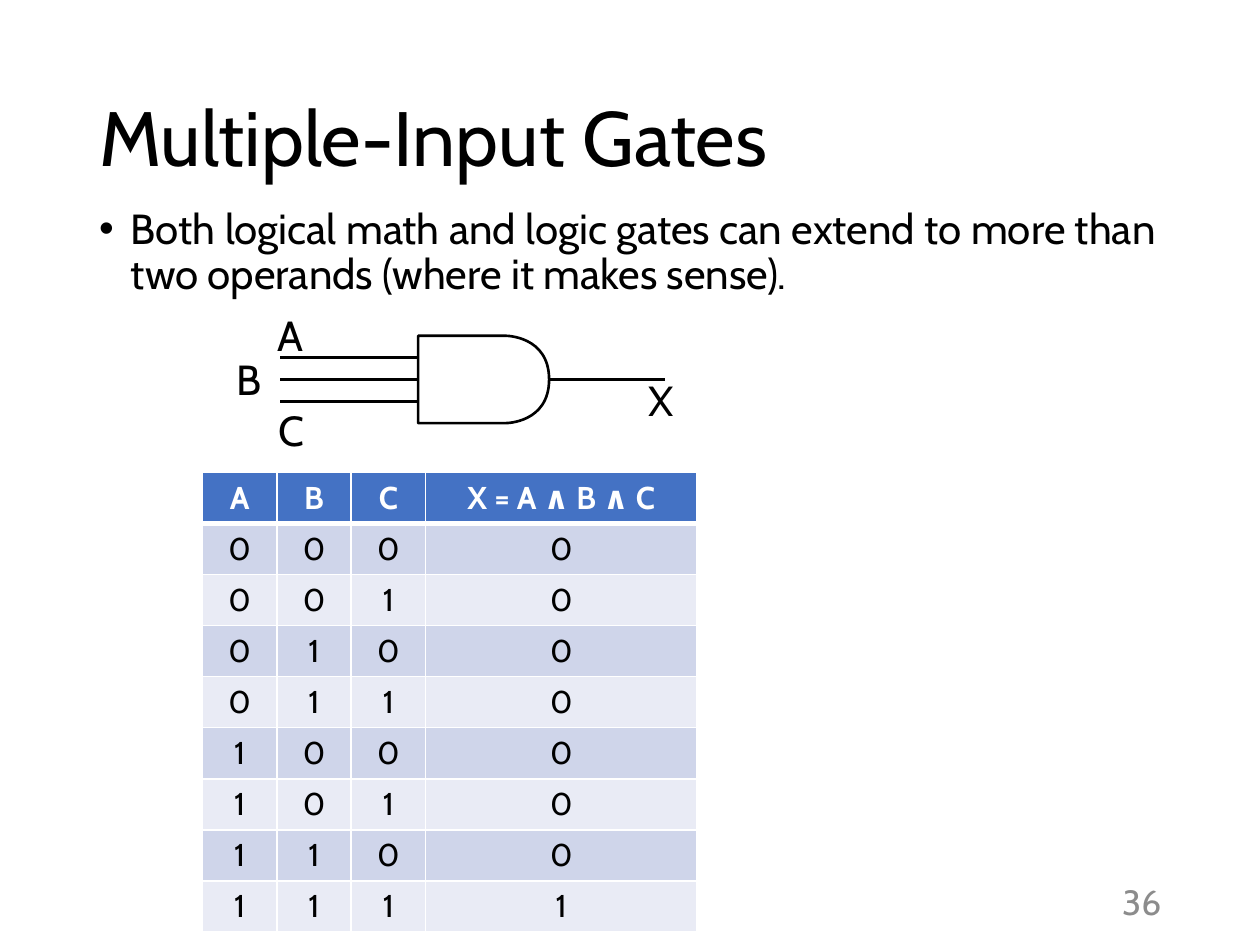
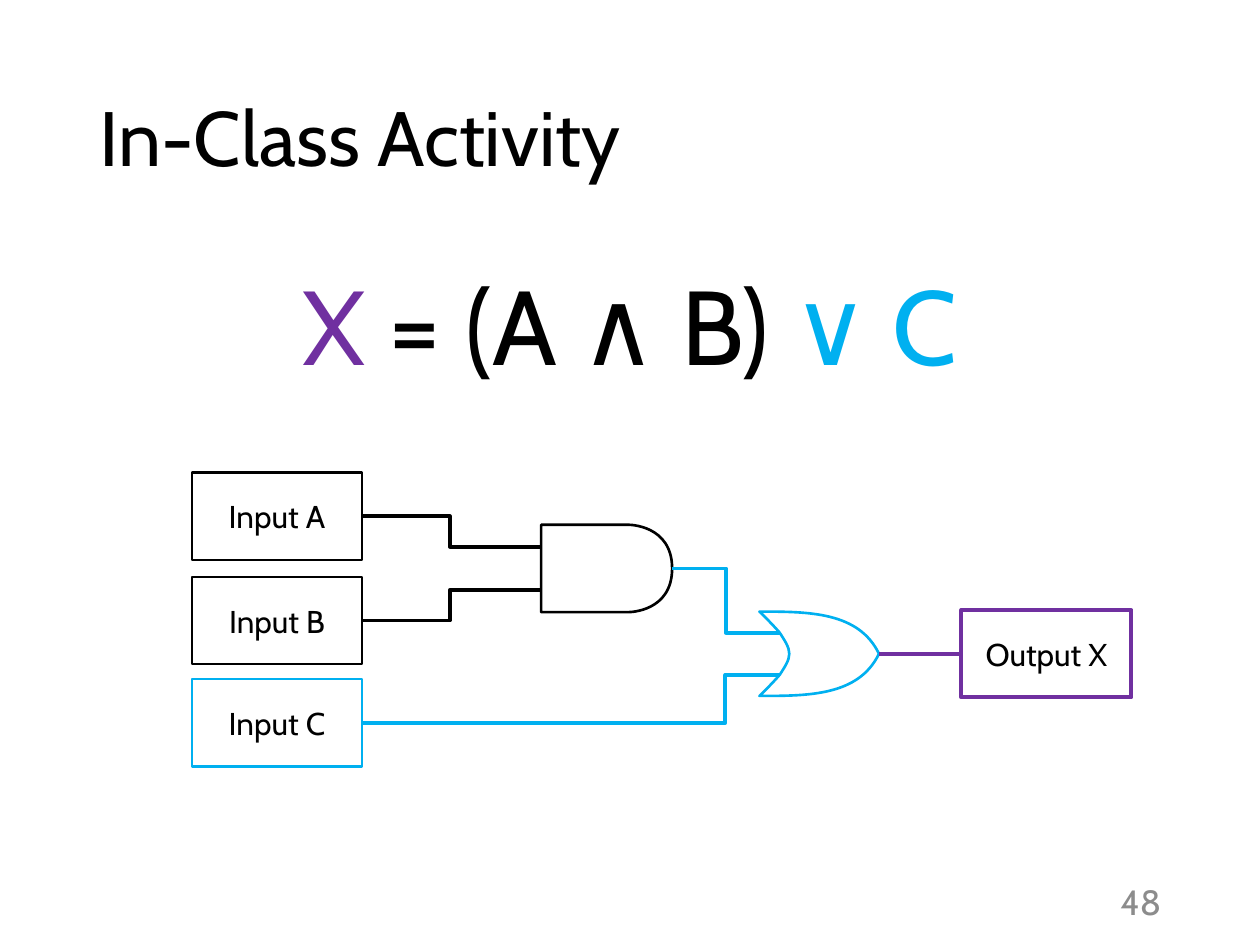
from dataclasses import dataclass
from itertools import product

from lxml.etree import SubElement
from pptx import Presentation
from pptx.dml.color import RGBColor
from pptx.enum.shapes import MSO_CONNECTOR, MSO_SHAPE
from pptx.enum.text import MSO_ANCHOR, MSO_AUTO_SIZE, PP_ALIGN
from pptx.oxml.ns import qn
from pptx.shapes.autoshape import Shape
from pptx.shapes.connector import Connector
from pptx.slide import Slide
from pptx.table import _Cell
from pptx.text.text import Font, _Paragraph
from pptx.util import Cm, Pt

COLORS = {
    "black": "000000",
    "white": "FFFFFF",
    "gray": "8C8C8C",
    "header": "4472C4",
    "dark band": "CFD5EA",
    "light band": "E9EBF5",
    "purple": "7030A0",
    "cyan": "00B0F0",
}
FONT = "Cabin"
THIN, THICK = 1.5, 2.25
Point = tuple[float, float]
Curve = tuple[Point, Point, Point]


@dataclass(frozen=True)
class Area:
    left: float
    top: float
    width: float
    height: float

    @property
    def right(self) -> float:
        return self.left + self.width

    @property
    def middle(self) -> float:
        return self.top + self.height / 2

    def lengths(self) -> tuple[Cm, Cm, Cm, Cm]:
        return Cm(self.left), Cm(self.top), Cm(self.width), Cm(self.height)


@dataclass(frozen=True)
class Outline:
    corners: tuple[Point, ...]
    curves: tuple[Curve, ...]
    pin_inset: float


@dataclass(frozen=True)
class Gate:
    outline: Outline
    area: Area
    color: str = "black"

    def pin(self, level: float) -> Point:
        area = self.area
        return area.left + self.outline.pin_inset * area.width, area.top + level * area.height

    @property
    def output(self) -> Point:
        return self.area.right, self.area.middle


@dataclass(frozen=True)
class Label:
    text: str
    left: float
    top: float


@dataclass(frozen=True)
class Terminal:
    text: str
    area: Area
    color: str = "black"
    width: float = THIN
    filled: bool = True

    @property
    def output(self) -> Point:
        return self.area.right, self.area.middle


@dataclass(frozen=True)
class Wire:
    start: Point
    end: Point
    bend: float
    color: str = "black"


AND_OUTLINE = Outline(
    ((0, 1), (0, 0.75), (0, 0.5), (0, 0.25), (0, 0), (0.67, 0)),
    (
        ((0.67, 0), (1, 0), (1, 0.5)),
        ((1, 1), (0.67, 1), (0.67, 1)),
    ),
    0,
)
OR_OUTLINE = Outline(
    ((0, 0),),
    (
        ((0.41, 0), (0.83, 0), (1, 0.5)),
        ((0.83, 1), (0.41, 1), (0, 1)),
        ((0, 1), (0.09, 0.88), (0.17, 0.75)),
        ((0.21, 0.66), (0.25, 0.58), (0.25, 0.5)),
        ((0.25, 0.42), (0.21, 0.34), (0.17, 0.25)),
        ((0.09, 0.12), (0, 0), (0, 0)),
    ),
    0.17,
)
TITLE_AREA = Area(1.75, 1.01, 21.9, 3.68)
NUMBER_AREA = Area(21.96, 17.66, 1.7, 1.02)


def rgb(color: str) -> RGBColor:
    return RGBColor.from_string(COLORS[color])


def style_font(font: Font, size: float, color: str = "black", bold: bool = False) -> None:
    font.name = FONT
    font.size = Pt(size)
    font.bold = bold
    font.color.rgb = rgb(color)


def add_text(page: Slide, area: Area, text: str, size: float, color: str = "black",
             align: PP_ALIGN = PP_ALIGN.LEFT, anchor: MSO_ANCHOR = MSO_ANCHOR.TOP,
             wrap: bool = True) -> _Paragraph:
    box = page.shapes.add_textbox(*area.lengths())
    frame = box.text_frame
    frame.word_wrap = wrap
    frame.auto_size = MSO_AUTO_SIZE.NONE if wrap else MSO_AUTO_SIZE.SHAPE_TO_FIT_TEXT
    frame.vertical_anchor = anchor
    para = frame.paragraphs[0]
    para.text = text
    para.alignment = align
    style_font(para.font, size, color)
    return para


def add_bullet(page: Slide, area: Area, text: str) -> None:
    para = add_text(page, area, text, 24)
    properties = para._p.get_or_add_pPr()
    properties.set("marL", str(Cm(0.64)))
    properties.set("indent", str(-Cm(0.64)))
    properties.remove(properties.find(qn("a:defRPr")))
    SubElement(properties, qn("a:buFont"), typeface="Arial")
    SubElement(properties, qn("a:buChar"), char="•")
    para.line_spacing = 0.9
    style_font(para.font, 24)


def add_page(deck: Presentation, title: str, number: int) -> Slide:
    page = deck.slides.add_slide(deck.slide_layouts[6])
    heading = add_text(page, TITLE_AREA, title, 44, anchor=MSO_ANCHOR.MIDDLE)
    heading.line_spacing = 0.9
    add_text(page, NUMBER_AREA, str(number), 20, "gray", PP_ALIGN.RIGHT, MSO_ANCHOR.MIDDLE)
    return page


def style_line(shape: Shape | Connector, color: str, width: float) -> None:
    shape.line.color.rgb = rgb(color)
    shape.line.width = Pt(width)


def bend_segments(shape: Shape, curve_count: int) -> None:
    segments = list(shape._element.iter(qn("a:lnTo")))[-3 * curve_count:]
    for first, second, third in zip(*[iter(segments)] * 3):
        curve = first.makeelement(qn("a:cubicBezTo"))
        first.addprevious(curve)
        for segment in (first, second, third):
            curve.append(segment[0])
            segment.getparent().remove(segment)


def add_gate(page: Slide, gate: Gate) -> None:
    area, outline = gate.area, gate.outline
    points = [*outline.corners, *(point for curve in outline.curves for point in curve)]
    places = [(Cm(area.left + x * area.width), Cm(area.top + y * area.height)) for x, y in points]
    builder = page.shapes.build_freeform(*places[0])
    builder.add_line_segments(places[1:], close=True)
    shape = builder.convert_to_shape()
    bend_segments(shape, len(outline.curves))
    shape.shadow.inherit = False
    shape.fill.background()
    style_line(shape, gate.color, THIN)


def add_line(page: Slide, start: Point, end: Point, color: str = "black", width: float = THIN,
             kind: MSO_CONNECTOR = MSO_CONNECTOR.STRAIGHT) -> Connector:
    line = page.shapes.add_connector(kind, *(Cm(value) for value in (*start, *end)))
    style_line(line, color, width)
    SubElement(line._element.spPr, qn("a:effectLst"))
    return line


def add_wire(page: Slide, wire: Wire) -> None:
    line = add_line(page, wire.start, wire.end, wire.color, THICK, MSO_CONNECTOR.ELBOW)
    guides = line._element.spPr.find(qn("a:prstGeom")).find(qn("a:avLst"))
    SubElement(guides, qn("a:gd"), name="adj1", fmla=f"val {round(wire.bend * 100000)}")


def add_terminal(page: Slide, terminal: Terminal) -> Shape:
    box = page.shapes.add_shape(MSO_SHAPE.RECTANGLE, *terminal.area.lengths())
    box.shadow.inherit = False
    if terminal.filled:
        box.fill.solid()
        box.fill.fore_color.rgb = rgb("white")
    else:
        box.fill.background()
    style_line(box, terminal.color, terminal.width)
    box.text_frame.vertical_anchor = MSO_ANCHOR.MIDDLE
    para = box.text_frame.paragraphs[0]
    para.text = terminal.text
    para.alignment = PP_ALIGN.CENTER
    style_font(para.font, 18)
    return box


def style_cell(cell: _Cell, text: str, row: int) -> None:
    header = row == 0
    cell.text = text
    para = cell.text_frame.paragraphs[0]
    para.alignment = PP_ALIGN.CENTER
    style_font(para.font, 18, "white" if header else "black", header)
    cell.fill.solid()
    cell.fill.fore_color.rgb = rgb("header" if header else "dark band" if row % 2 else "light band")
    widths = {"lnL": 1, "lnR": 1, "lnT": 3 if row == 1 else 1, "lnB": 3 if header else 1}
    properties = cell._tc.get_or_add_tcPr()
    for index, (side, width) in enumerate(widths.items()):
        border = SubElement(properties, qn(f"a:{side}"), w=str(Pt(width)))
        fill = SubElement(border, qn("a:solidFill"))
        SubElement(fill, qn("a:srgbClr"), val=COLORS["white"])
        properties.insert(index, border)


def add_truth_table(page: Slide) -> None:
    inputs = list(product((0, 1), repeat=3))
    rows = [("A", "B", "C", "X = A ∧ B ∧ C")] + [(*bits, int(all(bits))) for bits in inputs]
    area = Area(4.08, 9.52, 9.97, 1.03 * len(rows))
    table = page.shapes.add_table(len(rows), 4, *area.lengths()).table
    for column, width in zip(table.columns, (1.5, 1.5, 1.5, 5.47)):
        column.width = Cm(width)
    for row, values in enumerate(rows):
        table.rows[row].height = Cm(1.03)
        for column, value in enumerate(values):
            style_cell(table.cell(row, column), str(value), row)


def build_gates_page(deck: Presentation) -> None:
    page = add_page(deck, "Multiple-Input Gates", 36)
    add_bullet(page, Area(1.75, 4.07, 21.9, 12.09),
               "Both logical math and logic gates can extend to more than two operands "
               "(where it makes sense).")
    gate = Gate(AND_OUTLINE, Area(8.43, 6.77, 2.64, 1.76))
    add_gate(page, gate)
    for level in (0.25, 0.5, 0.75):
        x, y = gate.pin(level)
        add_line(page, (x, y), (5.64, y))
    add_line(page, gate.output, (13.41, gate.area.middle))
    labels = (Label("A", 5.35, 6.12), Label("B", 4.52, 7.01),
              Label("C", 5.36, 8.03), Label("X", 12.83, 7.43))
    for label in labels:
        add_text(page, Area(label.left, label.top, 0.97, 1.27), label.text, 24, wrap=False)
    add_truth_table(page)


def build_activity_page(deck: Presentation) -> None:
    page = add_page(deck, "In-Class Activity", 48)
    formula = add_text(page, Area(4.99, 5.13, 15.42, 2.82), "", 60, align=PP_ALIGN.CENTER)
    for text, color in (("X", "purple"), (" = (A ∧ B) ", "black"), ("∨ C", "cyan")):
        span = formula.add_run()
        span.text = text
        span.font.color.rgb = rgb(color)

    and_gate = Gate(AND_OUTLINE, Area(10.91, 10.58, 2.64, 1.76))
    or_gate = Gate(OR_OUTLINE, Area(15.31, 12.33, 2.41, 1.7), "cyan")
    input_a, input_b, input_c = inputs = [
        Terminal(f"Input {name}", Area(3.87, top, 3.43, 1.76), color)
        for name, top, color in (("A", 9.53, "black"), ("B", 11.63, "black"), ("C", 13.69, "cyan"))
    ]
    for terminal in inputs:
        add_terminal(page, terminal)
    for gate in (and_gate, or_gate):
        add_gate(page, gate)
    wires = (
        Wire(input_a.output, and_gate.pin(0.25), 0.49),
        Wire(input_b.output, and_gate.pin(0.75), 0.49),
        Wire(input_c.output, or_gate.pin(0.75), 0.87, "cyan"),
        Wire(and_gate.output, or_gate.pin(0.25), 0.5, "cyan"),
    )
    for wire in wires:
        add_wire(page, wire)
    output = Terminal("Output X", Area(19.38, 12.3, 3.43, 1.76), "purple", THICK, False)
    output_box = add_terminal(page, output)
    result = add_line(page, or_gate.output, (output.area.left, output.area.middle), "purple", THICK)
    result.end_connect(output_box, 1)


def main() -> None:
    deck = Presentation()
    deck.slide_width, deck.slide_height = Cm(25.4), Cm(19.05)
    build_gates_page(deck)
    build_activity_page(deck)
    deck.save("out.pptx")


if __name__ == "__main__":
    main()
